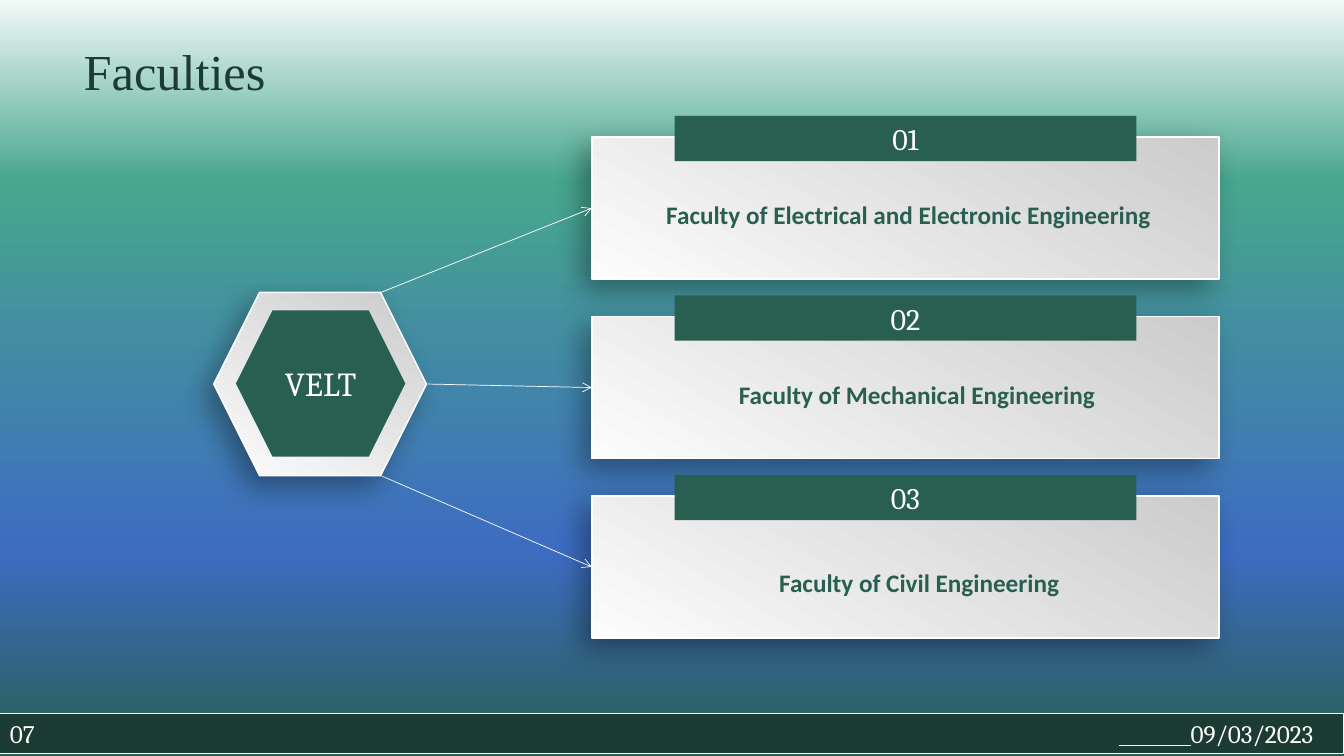
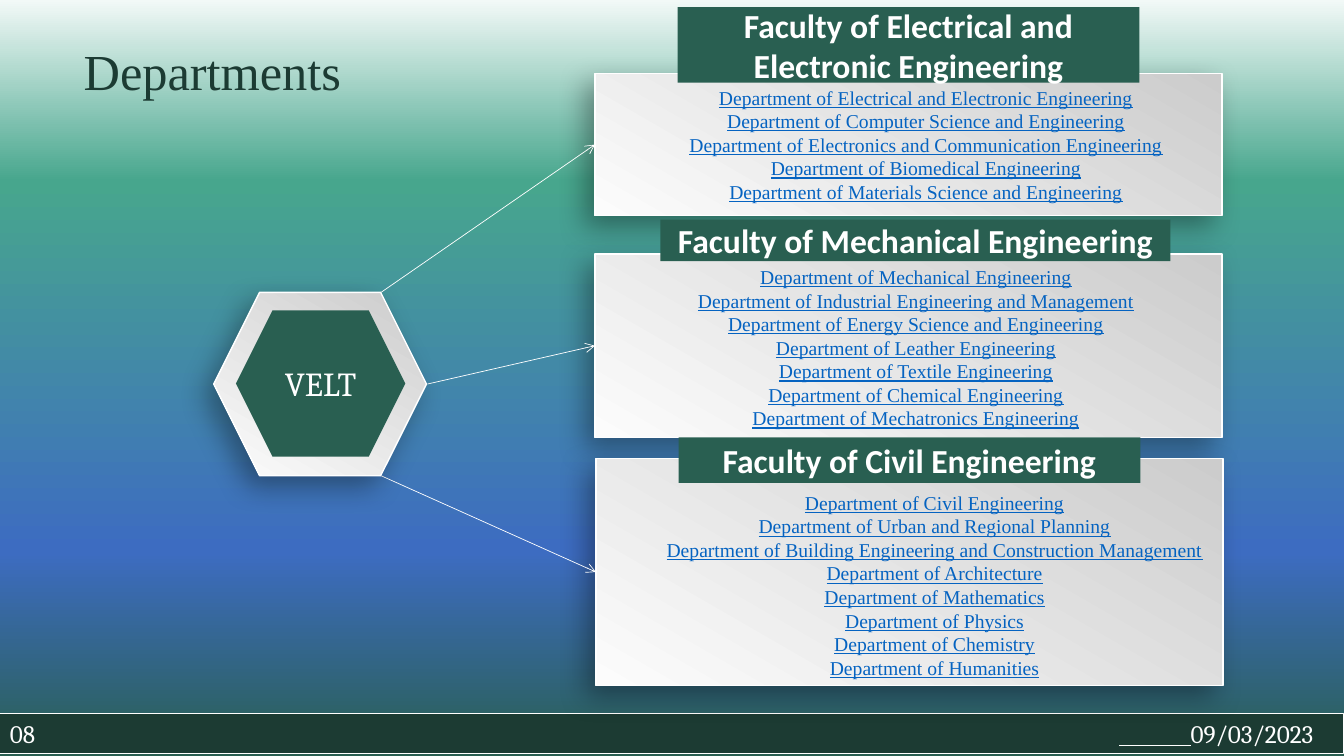
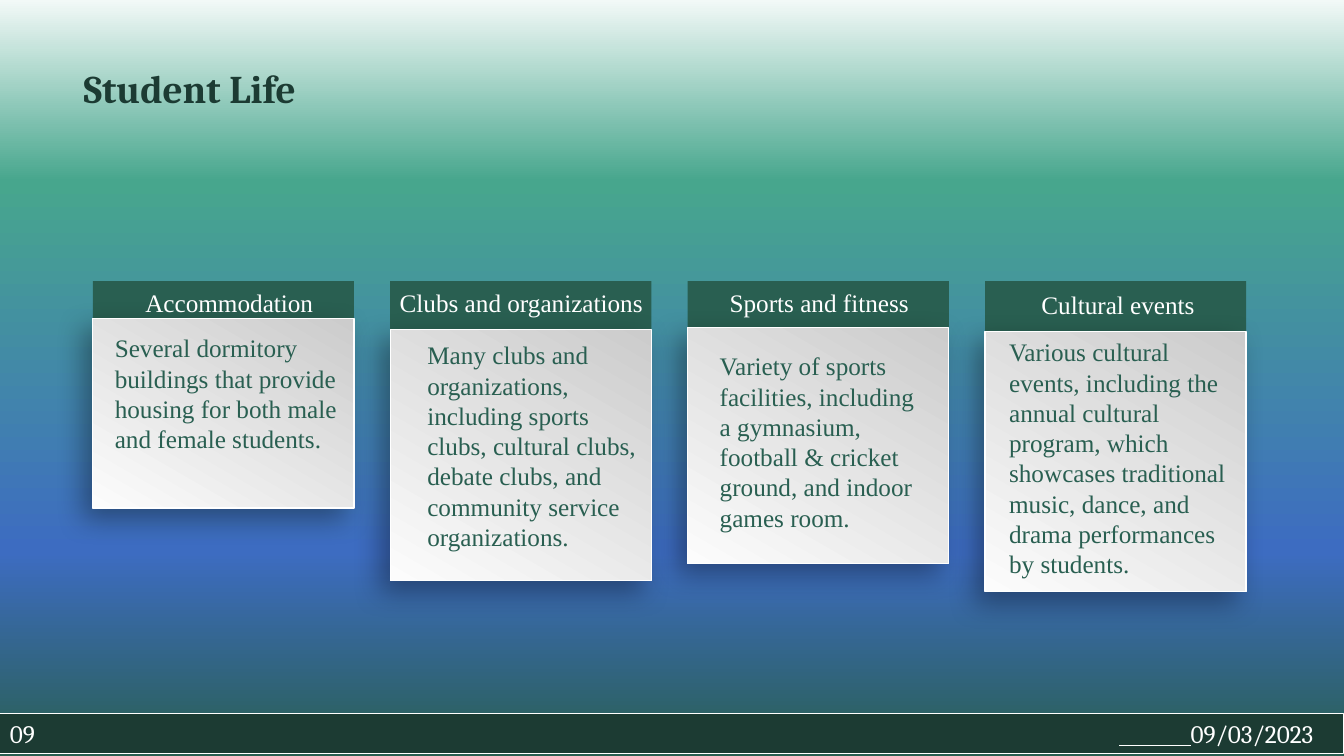
"""Build three university slides: faculties, departments and student life."""
from copy import deepcopy

from lxml import etree
from pptx import Presentation
from pptx.dml.color import RGBColor
from pptx.enum.shapes import MSO_CONNECTOR, MSO_SHAPE
from pptx.enum.text import MSO_ANCHOR, MSO_AUTO_SIZE, PP_ALIGN
from pptx.oxml.ns import qn
from pptx.util import Inches, Pt

RECT, HEXAGON = MSO_SHAPE.RECTANGLE, MSO_SHAPE.HEXAGON
STRAIGHT = MSO_CONNECTOR.STRAIGHT
TOP, MIDDLE = MSO_ANCHOR.TOP, MSO_ANCHOR.MIDDLE
LEFT, CENTER = PP_ALIGN.LEFT, PP_ALIGN.CENTER
NO_AUTOFIT = MSO_AUTO_SIZE.NONE
LEFT_SIDE = 1

COLORS = {
    "white": "FFFFFF", "mist": "F2F9F7", "mint": "47A68D", "blue": "3D6CC1",
    "green": "295F51", "dark": "1C3B33", "silver": "CCCCCC",
    "pale": "FCFCFC", "link": "0563C1", "black": "000000",
}
SERIF, SANS, TIMES = "Cambria", "Calibri", "Times New Roman"
SLIDE_WIDTH = 13.33
BACKGROUND = [(0, "mist"), (0.24, "mint"), (0.73, "blue"), (1, "green")]
SILVER_FADE = [(0, "silver"), (1, "pale")]
UNIVERSITY = "VELT"
DATE = "09/03/2023"
DATE_LEFT, RULE_LENGTH = 11.81, 0.71
HUB_TIPS = [(3.78, 2.9), (4.24, 3.81), (3.78, 4.72)]

FACULTIES = [
    ("Faculty of Electrical and Electronic Engineering", 6.51, 1.93),
    ("Faculty of Mechanical Engineering", 7.23, 3.71),
    ("Faculty of Civil Engineering", 7.63, 5.58),
]
DEPARTMENTS = [
    {
        "faculty": FACULTIES[0][0],
        "card": (5.9, 0.73, 6.22, 1.41),
        "header": (6.72, 0.07, 4.58, 0.75),
        "list": (5.91, 0.8, 6.55, 1.5),
        "names": [
            "Electrical and Electronic Engineering",
            "Computer Science and Engineering",
            "Electronics and Communication Engineering",
            "Biomedical Engineering",
            "Materials Science and Engineering",
        ],
    },
    {
        "faculty": FACULTIES[1][0],
        "card": (5.9, 2.52, 6.22, 1.82),
        "header": (6.55, 2.18, 5.06, 0.41),
        "list": (5.75, 2.58, 6.67, 1.75),
        "names": [
            "Mechanical Engineering",
            "Industrial Engineering and Management",
            "Energy Science and Engineering",
            "Leather Engineering",
            "Textile Engineering",
            "Chemical Engineering",
            "Mechatronics Engineering",
        ],
    },
    {
        "faculty": FACULTIES[2][0],
        "card": (5.91, 4.55, 6.22, 2.25),
        "header": (6.73, 4.34, 4.58, 0.45),
        "list": (6.21, 4.82, 6.12, 2.2),
        "names": [
            "Civil Engineering",
            "Urban and Regional Planning",
            "Building Engineering and Construction Management",
            "Architecture",
            "Mathematics",
            "Physics",
            "Chemistry",
            "Humanities",
        ],
    },
]
STUDENT_LIFE = [
    {
        "topic": "Accommodation",
        "heights": (0.37, 1.88),
        "label": (1.26, 2.8, 2.03, 0.39),
        "body": (1.04, 3.25, 2.48, 1.31),
        "detail": "Several dormitory buildings that provide housing for both "
                  "male and female students.",
    },
    {
        "topic": "Clubs and organizations",
        "heights": (0.48, 2.49),
        "label": (3.81, 2.8, 2.72, 0.39),
        "body": (4.14, 3.32, 2.34, 2.22),
        "detail": "Many clubs and organizations, including sports clubs, "
                  "cultural clubs, debate clubs, and community service "
                  "organizations.",
    },
    {
        "topic": "Sports and fitness",
        "heights": (0.46, 2.34),
        "label": (7.02, 2.8, 2.21, 0.39),
        "body": (7.04, 3.43, 2.26, 1.92),
        "detail": "Variety of sports facilities, including a gymnasium, "
                  "football & cricket ground, and indoor games room.",
    },
    {
        "topic": "Cultural events",
        "heights": (0.5, 2.58),
        "label": (10.11, 2.82, 1.96, 0.4),
        "body": (9.91, 3.29, 2.41, 2.52),
        "detail": "Various cultural events, including the annual cultural "
                  "program, which showcases traditional music, dance, and "
                  "drama performances by students.",
    },
]


def rgb(name):
    """Return the named colour."""
    return RGBColor.from_string(COLORS[name])


def inches(lengths):
    """Convert a sequence of numbers to lengths."""
    return [Inches(length) for length in lengths]


def fill_gradient(owner, fill, stops, clockwise):
    """Give a fill any number of gradient stops and a clockwise angle."""
    fill.gradient()
    stop_list = owner.find(".//" + qn("a:gsLst"))
    for _ in stops[2:]:
        stop_list.append(deepcopy(stop_list[0]))
    for stop, (position, color) in zip(fill.gradient_stops, stops):
        stop.position = position
        stop.color.rgb = rgb(color)
    fill.gradient_angle = 360 - clockwise


def write(frame, lines, size, font, color, align=LEFT, anchor=TOP,
          bold=False, underline=False):
    """Write one paragraph per line in a single format."""
    frame.word_wrap = True
    frame.vertical_anchor = anchor
    frame.text = "\n".join(lines)
    for paragraph in frame.paragraphs:
        paragraph.alignment = align
        paragraph.font.size = Pt(size)
        paragraph.font.name = font
        paragraph.font.color.rgb = rgb(color)
        paragraph.font.bold = bold
        paragraph.font.underline = underline


def add_text(slide, box, lines, *style, **options):
    """Add a text box."""
    frame = slide.shapes.add_textbox(*inches(box)).text_frame
    write(frame, lines, *style, **options)


def add_block(slide, box, color, kind=RECT):
    """Add a flat shape without an outline."""
    block = slide.shapes.add_shape(kind, *inches(box))
    block.shadow.inherit = False
    block.fill.solid()
    block.fill.fore_color.rgb = rgb(color)
    block.line.fill.background()
    return block


def add_card(slide, box, kind=RECT):
    """Add a silver shape with a white outline and a soft shadow."""
    card = add_block(slide, box, "pale", kind)
    fill_gradient(card.element, card.fill, SILVER_FADE, 120)
    card.line.color.rgb = rgb("white")
    card.line.width = Pt(1)
    effects = card.element.spPr.find(qn("a:effectLst"))
    shadow = etree.SubElement(
        effects, qn("a:outerShdw"), blurRad=str(Pt(20)), dist=str(Pt(10)),
        dir=str(136 * 60000), algn="ctr", rotWithShape="0")
    tint = etree.SubElement(shadow, qn("a:srgbClr"), val=COLORS["black"])
    etree.SubElement(tint, qn("a:alpha"), val="34000")
    return card


def add_header(slide, box, text, size, font, bold=False, kind=RECT):
    """Add a green shape with centred white text."""
    header = add_block(slide, box, "green", kind)
    write(header.text_frame, [text], size, font, "white", CENTER, MIDDLE, bold)


def add_line(slide, start, end, width):
    """Add a thin white line."""
    line = slide.shapes.add_connector(STRAIGHT, *inches(start + end))
    line.line.color.rgb = rgb("white")
    line.line.width = Pt(width)
    etree.SubElement(line.element.spPr, qn("a:effectLst"))
    return line


def add_hub(slide, cards):
    """Add the central hexagon and its arrows to the cards."""
    for tip, card in zip(HUB_TIPS, cards):
        arrow = add_line(slide, tip, tip, 0.5)
        arrow.end_connect(card, LEFT_SIDE)
        outline = arrow.element.spPr.find(qn("a:ln"))
        etree.SubElement(outline, qn("a:tailEnd"), type="arrow")
    add_card(slide, (2.12, 2.9, 2.11, 1.82), HEXAGON)
    add_header(slide, (2.34, 3.08, 1.68, 1.45), UNIVERSITY, 24, SERIF,
               kind=HEXAGON)


def add_footer(slide, number):
    """Add the bottom band with the slide number and the date."""
    band = add_block(slide, (0, 7.08, SLIDE_WIDTH, 0.4), "dark")
    band.line.color.rgb = rgb("white")
    band.line.width = Pt(0.75)
    write(band.text_frame, [f"{number:02}\t{DATE}"], 18, SERIF, "white")
    tabs = etree.Element(qn("a:tabLst"))
    etree.SubElement(tabs, qn("a:tab"), pos=str(Inches(DATE_LEFT - 0.1)),
                     algn="l")
    band.element.find(".//" + qn("a:pPr")).insert(0, tabs)
    add_line(slide, (DATE_LEFT - RULE_LENGTH, 7.4), (DATE_LEFT, 7.4), 0.75)


def add_slide(prs, number, title, width, size=36, font=TIMES, bold=False,
              spacing=1):
    """Add a slide with its title and footer."""
    slide = prs.slides.add_slide(prs.slide_layouts[5])
    heading = slide.shapes.title
    heading.left, heading.top, heading.width, heading.height = inches(
        (0.73, 0.35, width, 0.71))
    frame = heading.text_frame
    write(frame, [title], size, font, "dark", bold=bold)
    frame.word_wrap = False
    frame.auto_size = NO_AUTOFIT
    frame.paragraphs[0].line_spacing = spacing
    add_footer(slide, number)
    return slide


def build_faculties(prs):
    """Build the slide with three numbered faculties."""
    slide = add_slide(prs, 7, "Faculties", 2.05)
    cards = []
    for index, (faculty, left, top) in enumerate(FACULTIES):
        card_top = 1.36 + index * 1.78
        cards.append(add_card(slide, (5.87, card_top, 6.22, 1.41)))
        add_header(slide, (6.69, card_top - 0.21, 4.58, 0.45),
                   f"{index + 1:02}", 21.4, SERIF)
        add_text(slide, (left, top, 5.4, 0.44), [faculty], 18, SANS, "green",
                 bold=True)
    add_hub(slide, cards)


def build_departments(prs):
    """Build the slide that lists the departments of each faculty."""
    slide = add_slide(prs, 8, "Departments", 2.82)
    cards = []
    for group in DEPARTMENTS:
        cards.append(add_card(slide, group["card"]))
        add_header(slide, group["header"], group["faculty"], 24, SANS, True)
        names = [f"Department of {name}" for name in group["names"]]
        add_text(slide, group["list"], names, 14, TIMES, "link", CENTER,
                 underline=True)
    add_hub(slide, cards)


def build_student_life(prs):
    """Build the slide with four columns on student life."""
    slide = add_slide(prs, 9, "Student Life", 2.37, 28, SERIF, True, 1.5)
    top, width = 2.79, 2.59
    for index, column in enumerate(STUDENT_LIFE):
        left = 0.92 + index * 2.95
        header_height, card_height = column["heights"]
        add_block(slide, (left, top, width, header_height), "green")
        add_card(slide, (left, top + header_height, width, card_height))
        add_text(slide, column["label"], [column["topic"]], 18, TIMES,
                 "white", CENTER)
        add_text(slide, column["body"], [column["detail"]], 18, TIMES,
                 "green")


def main():
    """Build and save the presentation."""
    prs = Presentation()
    prs.slide_width, prs.slide_height = inches((SLIDE_WIDTH, 7.5))
    master = prs.slide_master
    fill_gradient(master.element, master.background.fill, BACKGROUND, 90)
    build_faculties(prs)
    build_departments(prs)
    build_student_life(prs)
    prs.save("out.pptx")


if __name__ == "__main__":
    main()
